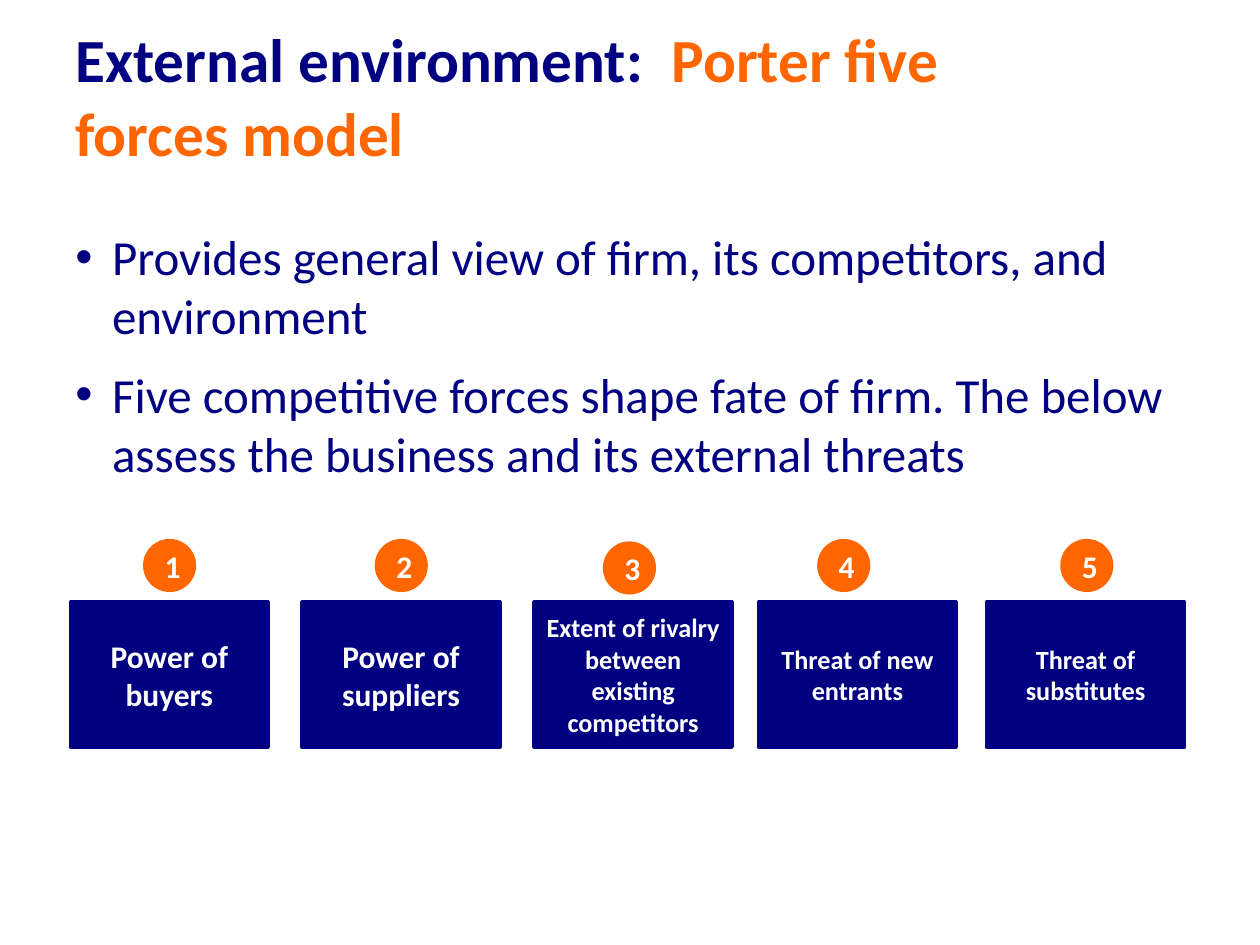
from dataclasses import dataclass

from lxml.etree import SubElement
from pptx import Presentation
from pptx.dml.color import RGBColor
from pptx.enum.shapes import MSO_SHAPE
from pptx.enum.text import MSO_ANCHOR, PP_ALIGN
from pptx.oxml.ns import qn
from pptx.util import Cm, Pt


@dataclass(frozen=True)
class Theme:
    font: str = "Calibri"
    navy: RGBColor = RGBColor(0x00, 0x00, 0x80)
    orange: RGBColor = RGBColor(0xFF, 0x66, 0x00)
    white: RGBColor = RGBColor(0xFF, 0xFF, 0xFF)
    title_size: int = 35
    body_size: int = 28
    label_size: int = 18
    small_label_size: int = 15


THEME = Theme()

TITLE = [("External environment:  ", THEME.navy), ("Porter five forces model", THEME.orange)]
POINTS = [
    "Provides general view of firm, its competitors, and environment",
    "Five competitive forces shape fate of firm. The below assess the business "
    "and its external threats",
]
# Label, label size, box left, badge left and badge top relative to the row, in cm
FORCES = [
    ("Power of buyers", THEME.label_size, 0, 1.5, 0),
    ("Power of suppliers", THEME.label_size, 4.67, 1.5, 0),
    ("Extent of rivalry between existing competitors", THEME.small_label_size, 9.35, 1.42, 0.05),
    ("Threat of new entrants", THEME.small_label_size, 13.87, 1.22, 0),
    ("Threat of substitutes", THEME.small_label_size, 18.47, 1.52, 0),
]


def set_attributes(target, values):
    for name, value in values.items():
        setattr(target, name, value)


def add_run(paragraph, text, size, color, bold=True):
    run = paragraph.add_run()
    run.text = text
    set_attributes(run.font, {"name": THEME.font, "size": Pt(size), "bold": bold})
    run.font.color.rgb = color


def add_text_frame(slide, left, top, width, height, anchor):
    text_frame = slide.shapes.add_textbox(Cm(left), Cm(top), Cm(width), Cm(height)).text_frame
    set_attributes(text_frame, {"word_wrap": True, "vertical_anchor": anchor})
    return text_frame


def add_title(slide, left, top, width, height):
    text_frame = add_text_frame(slide, left, top, width, height, MSO_ANCHOR.MIDDLE)
    for text, color in TITLE:
        add_run(text_frame.paragraphs[0], text, THEME.title_size, color)


def add_bullet(paragraph):
    """Give the paragraph a round bullet with a hanging indent."""
    properties = paragraph._p.get_or_add_pPr()
    properties.set("marL", str(Cm(0.74)))
    properties.set("indent", str(-Cm(0.74)))
    SubElement(properties, qn("a:buFont")).set("typeface", "Arial")
    SubElement(properties, qn("a:buChar")).set("char", "•")


def add_points(slide, left, top, width, height):
    text_frame = add_text_frame(slide, left, top, width, height, MSO_ANCHOR.TOP)
    for index, text in enumerate(POINTS):
        paragraph = text_frame.add_paragraph() if index else text_frame.paragraphs[0]
        gap = Pt(THEME.body_size * 0.2)
        set_attributes(paragraph, {"space_before": gap, "space_after": gap})
        add_bullet(paragraph)
        add_run(paragraph, text, THEME.body_size, THEME.navy, bold=False)


def add_label_shape(slide, kind, box, color, text, size, margins):
    shape = slide.shapes.add_shape(kind, *map(Cm, box))
    shape.shadow.inherit = False
    shape.fill.solid()
    shape.fill.fore_color.rgb = color
    shape.line.color.rgb = color
    shape.line.width = Pt(2)
    text_frame = shape.text_frame
    set_attributes(text_frame, {"word_wrap": True, "vertical_anchor": MSO_ANCHOR.MIDDLE})
    set_attributes(text_frame, margins)
    paragraph = text_frame.paragraphs[0]
    paragraph.alignment = PP_ALIGN.CENTER
    add_run(paragraph, text, size, THEME.white)


def add_forces(slide, left, top, height):
    """Place a row of labelled boxes, each with a numbered badge above it."""
    box_width, box_height, badge_size = 3.99, 2.92, 1
    box_margins = {"margin_left": Cm(0.2), "margin_right": Cm(0.2)}
    badge_margins = {"margin_left": Cm(0.25), "margin_right": Cm(0.13),
                     "margin_top": Cm(0.13), "margin_bottom": Cm(0.13)}
    for number, (label, size, offset, badge_left, badge_top) in enumerate(FORCES, start=1):
        box_left = left + offset
        add_label_shape(slide, MSO_SHAPE.RECTANGLE,
                        (box_left, top + height - box_height, box_width, box_height),
                        THEME.navy, label, size, box_margins)
        add_label_shape(slide, MSO_SHAPE.OVAL,
                        (box_left + badge_left, top + badge_top, badge_size, badge_size),
                        THEME.orange, str(number), THEME.label_size, badge_margins)


def main():
    presentation = Presentation()
    set_attributes(presentation, {"slide_width": Cm(25.4), "slide_height": Cm(19.05)})
    slide = presentation.slides.add_slide(presentation.slide_layouts[6])
    add_title(slide, 1.27, 0.33, 19.23, 3.18)
    add_points(slide, 1.27, 4.45, 22.86, 12.57)
    add_forces(slide, 1.42, 10.9, 4.16)
    presentation.save("out.pptx")


if __name__ == "__main__":
    main()
